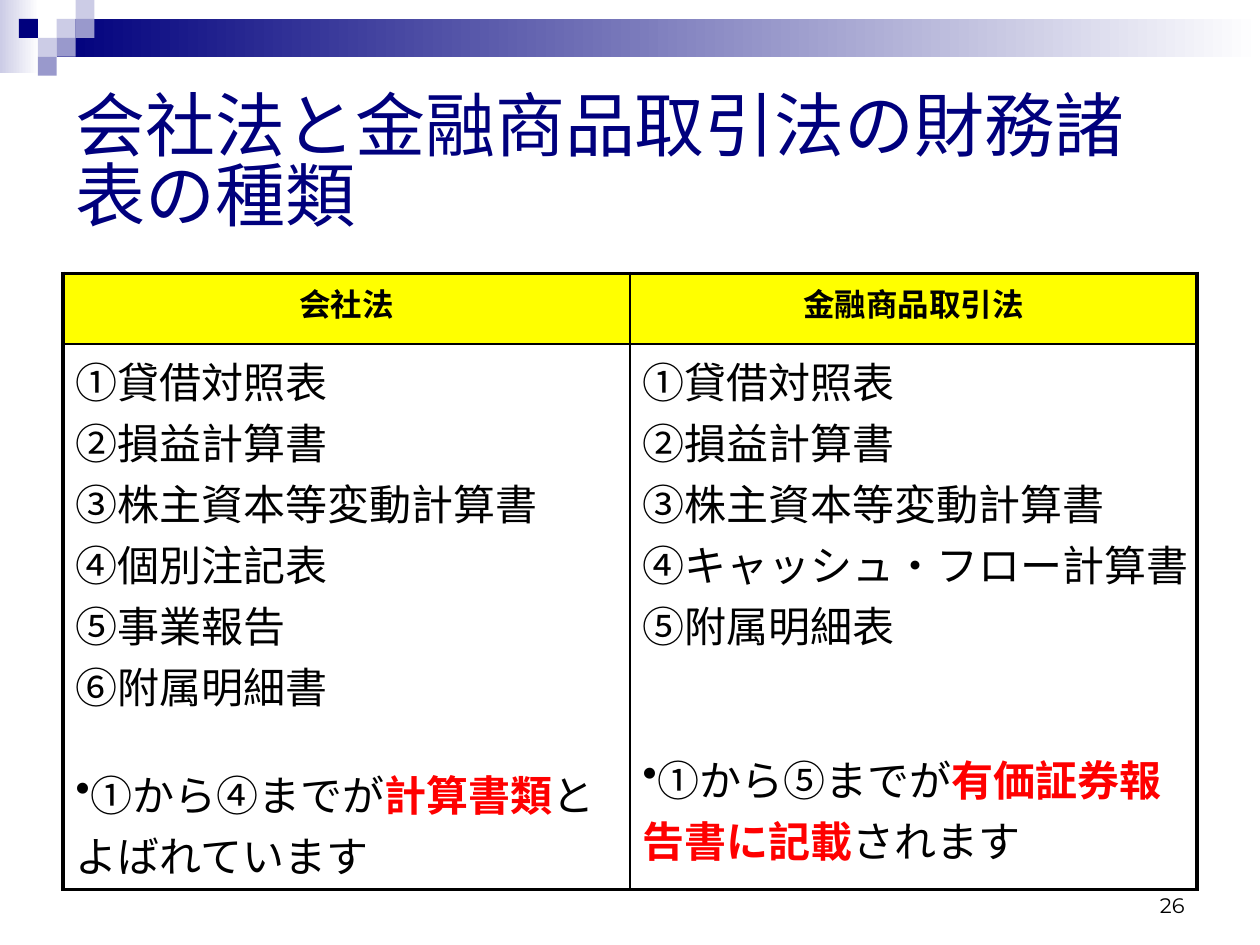
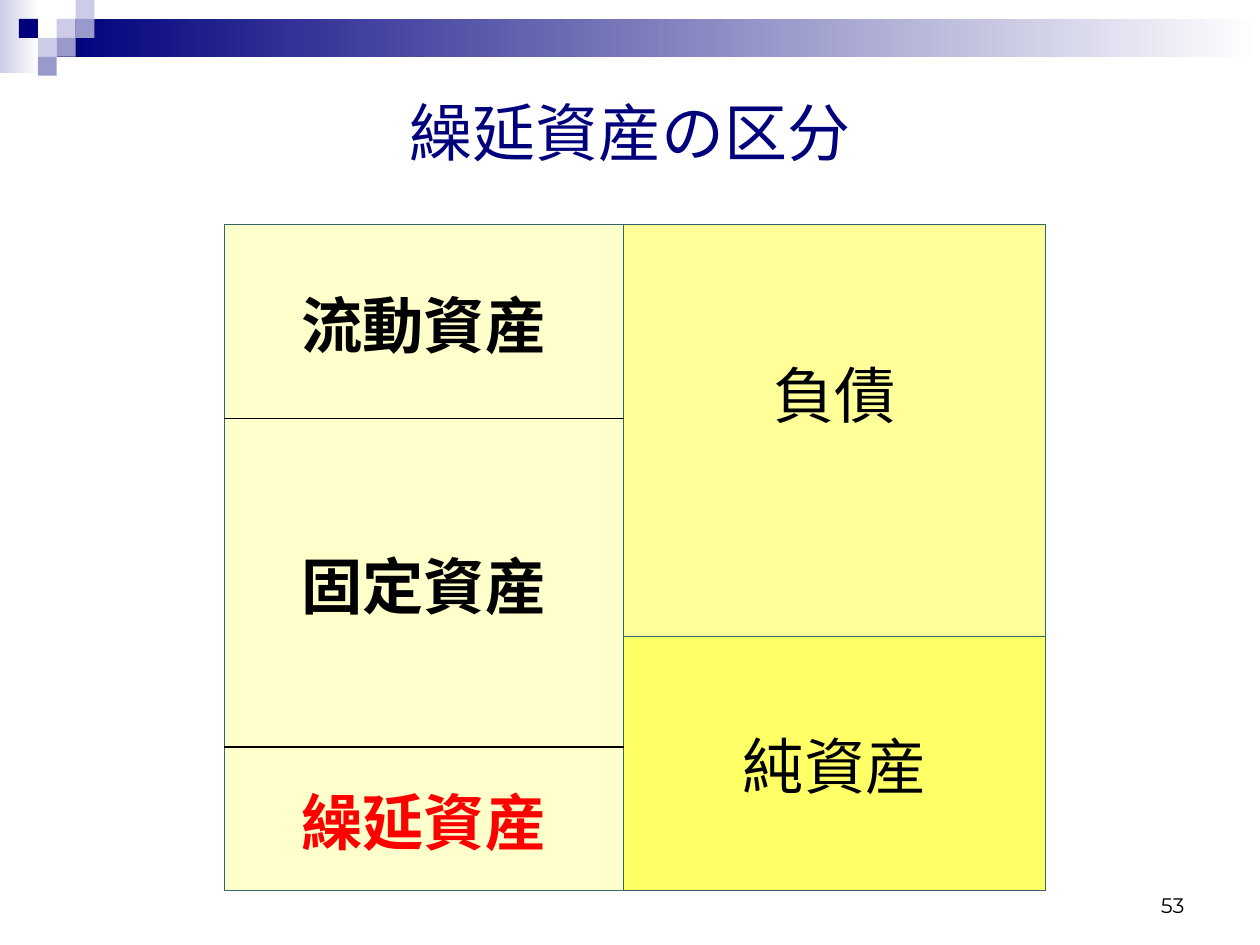
from lxml import etree
from pptx import Presentation
from pptx.dml.color import RGBColor
from pptx.enum.shapes import MSO_SHAPE
from pptx.enum.text import MSO_ANCHOR, MSO_AUTO_SIZE, PP_ALIGN
from pptx.oxml.ns import qn
from pptx.util import Inches, Pt

RECTANGLE = MSO_SHAPE.RECTANGLE
LEFT, CENTER, RIGHT = PP_ALIGN.LEFT, PP_ALIGN.CENTER, PP_ALIGN.RIGHT
TOP, MIDDLE, BOTTOM = MSO_ANCHOR.TOP, MSO_ANCHOR.MIDDLE, MSO_ANCHOR.BOTTOM
FIXED_SIZE = MSO_AUTO_SIZE.NONE

BLACK = RGBColor(0x00, 0x00, 0x00)
WHITE = RGBColor(0xFF, 0xFF, 0xFF)
RED = RGBColor(0xFF, 0x00, 0x00)
NAVY = RGBColor(0x00, 0x00, 0x7D)
LAVENDER = RGBColor(0xCC, 0xCC, 0xE6)
PERIWINKLE = RGBColor(0x99, 0x99, 0xCC)
TEAL = RGBColor(0x33, 0x66, 0x66)
YELLOW = RGBColor(0xFF, 0xFF, 0x00)
PALE_YELLOW = RGBColor(0xFF, 0xFF, 0xCC)
LIGHT_YELLOW = RGBColor(0xFF, 0xFF, 0x99)
STRONG_YELLOW = RGBColor(0xFF, 0xFF, 0x66)

NO_GRID_STYLE = "{2D5ABB26-0587-4C30-8999-92F81FD0307C}"
TILE = 0.15
BANDS = [((0, 0, 0.31, 0.58), LAVENDER), ((0.45, 0.15, 9.55, 0.3), NAVY)]
TILES = [
    (3, 1, LAVENDER), (4, 0, LAVENDER), (4, 1, PERIWINKLE), (2, 2, LAVENDER),
    (1, 1, NAVY), (3, 2, PERIWINKLE), (2, 3, PERIWINKLE),
]

LAWS = [
    {
        "name": "会社法",
        "statements": [
            "①貸借対照表", "②損益計算書", "③株主資本等変動計算書",
            "④個別注記表", "⑤事業報告", "⑥附属明細書",
        ],
        "note": ("①から④までが", "計算書類", "とよばれています"),
        "note_gap": 27,
    },
    {
        "name": "金融商品取引法",
        "statements": [
            "①貸借対照表", "②損益計算書", "③株主資本等変動計算書",
            "④キャッシュ・フロー計算書", "⑤附属明細表",
        ],
        "note": ("①から⑤までが", "有価証券報告書に記載", "されます"),
        "note_gap": 53,
    },
]
LAW_COLUMNS = [4.5, 4.5]
LAW_ROWS = [0.56, 4.33]

BALANCE_COLUMNS = [0.95, 3.17, 3.35, 0.49]
BALANCE_ROWS = [1.54, 1.73, 0.88, 1.14]
BALANCE_BLOCKS = [
    {"text": "流動資産", "rows": (0, 0), "column": 1, "fill": PALE_YELLOW,
     "bold": True, "edges": (TEAL, BLACK)},
    {"text": "固定資産", "rows": (1, 2), "column": 1, "fill": PALE_YELLOW,
     "bold": True, "edges": (BLACK, BLACK)},
    {"text": "繰延資産", "rows": (3, 3), "column": 1, "fill": PALE_YELLOW,
     "bold": True, "color": RED, "edges": (BLACK, TEAL)},
    {"text": "負債", "rows": (0, 1), "column": 2, "fill": LIGHT_YELLOW,
     "edges": (TEAL, TEAL), "top_margin": 0.98},
    {"text": "純資産", "rows": (2, 3), "column": 2, "fill": STRONG_YELLOW,
     "edges": (TEAL, TEAL), "top_margin": 0.65},
]


def write(paragraph, text, size=24, color=BLACK, bold=False, font="Arial", align=LEFT):
    paragraph.alignment = align
    run = paragraph.add_run()
    run.text = text
    run.font.size = Pt(size)
    run.font.name = font
    run.font.bold = bold
    run.font.color.rgb = color


def add_rectangle(slide, position, color, fade=False):
    shape = slide.shapes.add_shape(RECTANGLE, *map(Inches, position))
    shape.shadow.inherit = False
    shape.line.fill.background()
    if fade:
        shape.fill.gradient()
        shape.fill.gradient_angle = 0
        for stop, stop_color in zip(shape.fill.gradient_stops, (color, WHITE)):
            stop.color.rgb = stop_color
    else:
        shape.fill.solid()
        shape.fill.fore_color.rgb = color
    return shape


def decorate_layout(slide):
    shapes = [add_rectangle(slide, position, color, fade=True) for position, color in BANDS]
    for column, row, color in TILES:
        position = (column * TILE, row * TILE, TILE, TILE)
        shapes.append(add_rectangle(slide, position, color))
    layout_tree = slide.slide_layout.shapes._spTree
    for index, shape in enumerate(shapes):
        element = shape._element
        element.nvSpPr.cNvPr.set("id", str(100 + index))
        layout_tree.insert(2 + index, element)


def add_slide(presentation, title, title_top, title_size, title_align, number):
    slide = presentation.slides.add_slide(presentation.slide_layouts[5])
    shape = slide.shapes.title
    shape.left, shape.top = Inches(0.5), Inches(title_top)
    shape.width, shape.height = Inches(9), Inches(1.5)
    frame = shape.text_frame
    frame.vertical_anchor = MIDDLE
    frame.auto_size = FIXED_SIZE
    frame.margin_top, frame.margin_bottom = Inches(0.13), 0
    frame.paragraphs[0].line_spacing = 0.83
    write(frame.paragraphs[0], title, size=title_size, color=NAVY, align=title_align)
    box = slide.shapes.add_textbox(Inches(7.17), Inches(6.83), Inches(2.33), Inches(0.5))
    box.text_frame.word_wrap = True
    box.text_frame.vertical_anchor = BOTTOM
    write(box.text_frame.paragraphs[0], str(number), size=12, font="Montserrat", align=RIGHT)
    return slide


def add_table(slide, left, top, columns, rows):
    frame = slide.shapes.add_table(
        len(rows), len(columns), Inches(left), Inches(top),
        Inches(sum(columns)), Inches(sum(rows)))
    table = frame.table
    table.first_row = table.horz_banding = False
    table._tbl.tblPr[0].text = NO_GRID_STYLE
    for column, width in zip(table.columns, columns):
        column.width = Inches(width)
    for row, height in zip(table.rows, rows):
        row.height = Inches(height)
    return table


def style_cell(cell, fill, borders):
    properties = cell._tc.get_or_add_tcPr()
    for side in "LRTB":
        color, width = borders[side]
        line = etree.SubElement(properties, qn(f"a:ln{side}"), w=str(Pt(width)))
        solid = etree.SubElement(line, qn("a:solidFill"))
        etree.SubElement(solid, qn("a:srgbClr"), val=str(color))
    cell.fill.solid()
    cell.fill.fore_color.rgb = fill


def add_bullet(paragraph):
    properties = paragraph._p.get_or_add_pPr()
    properties.set("marL", "0")
    properties.set("indent", "0")
    etree.SubElement(properties, qn("a:buChar"), char="•")


def fill_law_cell(cell, law):
    cell.margin_right = Inches(0.04)
    frame = cell.text_frame
    for index, statement in enumerate(law["statements"]):
        paragraph = frame.add_paragraph() if index else frame.paragraphs[0]
        write(paragraph, statement)
    note = frame.add_paragraph()
    note.space_before = Pt(law["note_gap"])
    add_bullet(note)
    before, key_term, after = law["note"]
    write(note, before)
    write(note, key_term, color=RED, bold=True)
    write(note, after)


def build_law_slide(presentation):
    slide = add_slide(presentation, "会社法と金融商品取引法の財務諸表の種類", 0.5, 40, LEFT, 26)
    decorate_layout(slide)
    table = add_table(slide, 0.5, 2.17, LAW_COLUMNS, LAW_ROWS)
    thick, thin = (BLACK, 2.25), (BLACK, 1)
    for column, law in enumerate(LAWS):
        sides = {"L": thin if column else thick, "R": thick if column else thin}
        header, body = table.cell(0, column), table.cell(1, column)
        style_cell(header, YELLOW, {**sides, "T": thick, "B": thin})
        style_cell(body, WHITE, {**sides, "T": thin, "B": thick})
        write(header.text_frame.paragraphs[0], law["name"], size=18, bold=True, align=CENTER)
        fill_law_cell(body, law)


def build_balance_slide(presentation):
    slide = add_slide(presentation, "繰延資産の区分", 0.28, 36, CENTER, 53)
    table = add_table(slide, 0.83, 1.78, BALANCE_COLUMNS, BALANCE_ROWS)
    last_row = len(BALANCE_ROWS) - 1
    for column in (0, len(BALANCE_COLUMNS) - 1):
        table.cell(0, column).merge(table.cell(last_row, column))
    for block in BALANCE_BLOCKS:
        first, last = block["rows"]
        column = block["column"]
        top_color, bottom_color = block["edges"]
        borders = {"L": (TEAL, 1), "R": (TEAL, 1), "T": (top_color, 1), "B": (bottom_color, 1)}
        for row in range(first, last + 1):
            style_cell(table.cell(row, column), block["fill"], borders)
        cell = table.cell(first, column)
        if last > first:
            cell.merge(table.cell(last, column))
        if "top_margin" in block:
            cell.vertical_anchor = TOP
            cell.margin_top = Inches(block["top_margin"])
        else:
            cell.vertical_anchor = MIDDLE
        write(cell.text_frame.paragraphs[0], block["text"], size=35, align=CENTER,
              color=block.get("color", BLACK), bold=block.get("bold", False))


def main():
    presentation = Presentation()
    presentation.slide_width, presentation.slide_height = Inches(10), Inches(7.5)
    build_law_slide(presentation)
    build_balance_slide(presentation)
    presentation.save("out.pptx")


if __name__ == "__main__":
    main()
